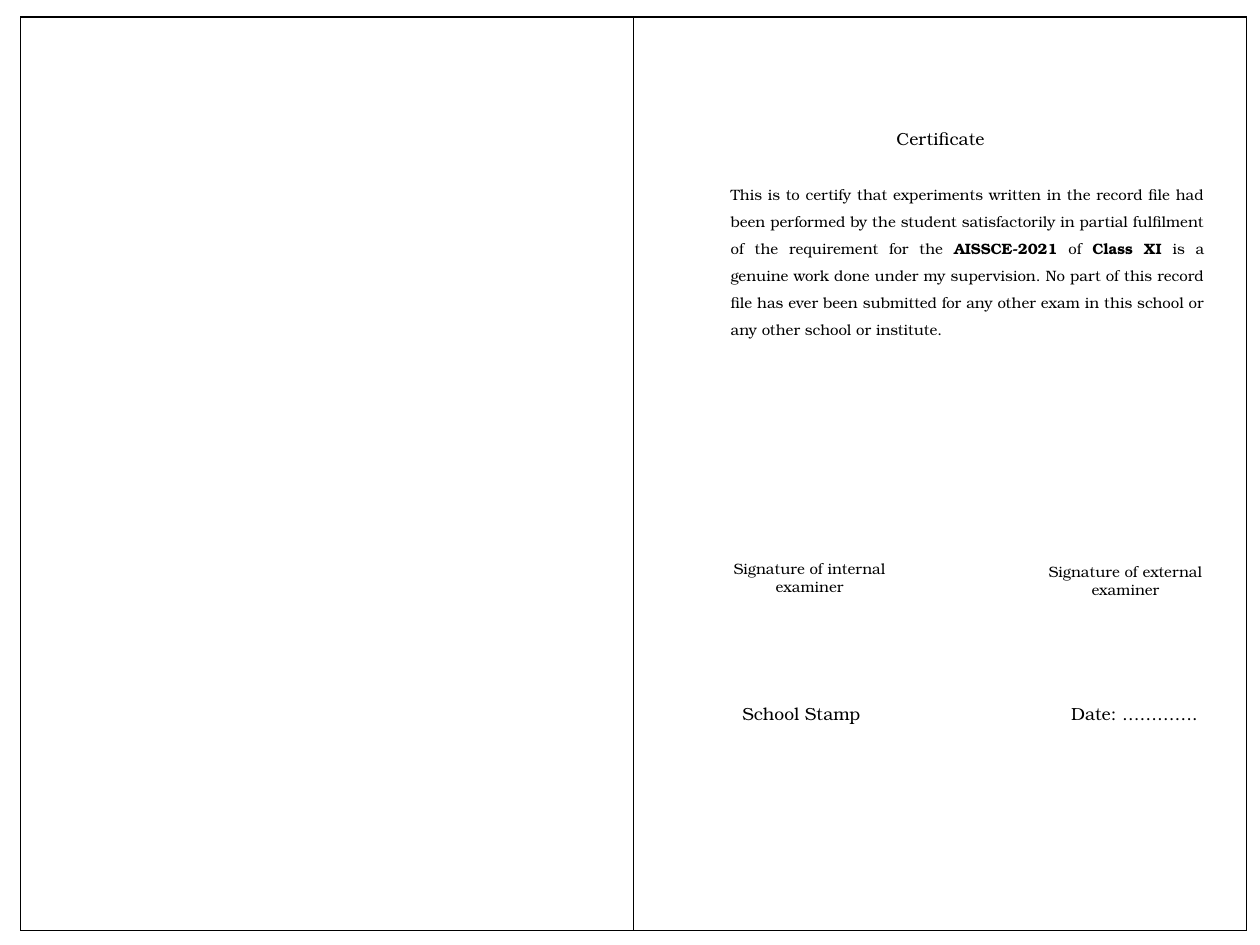
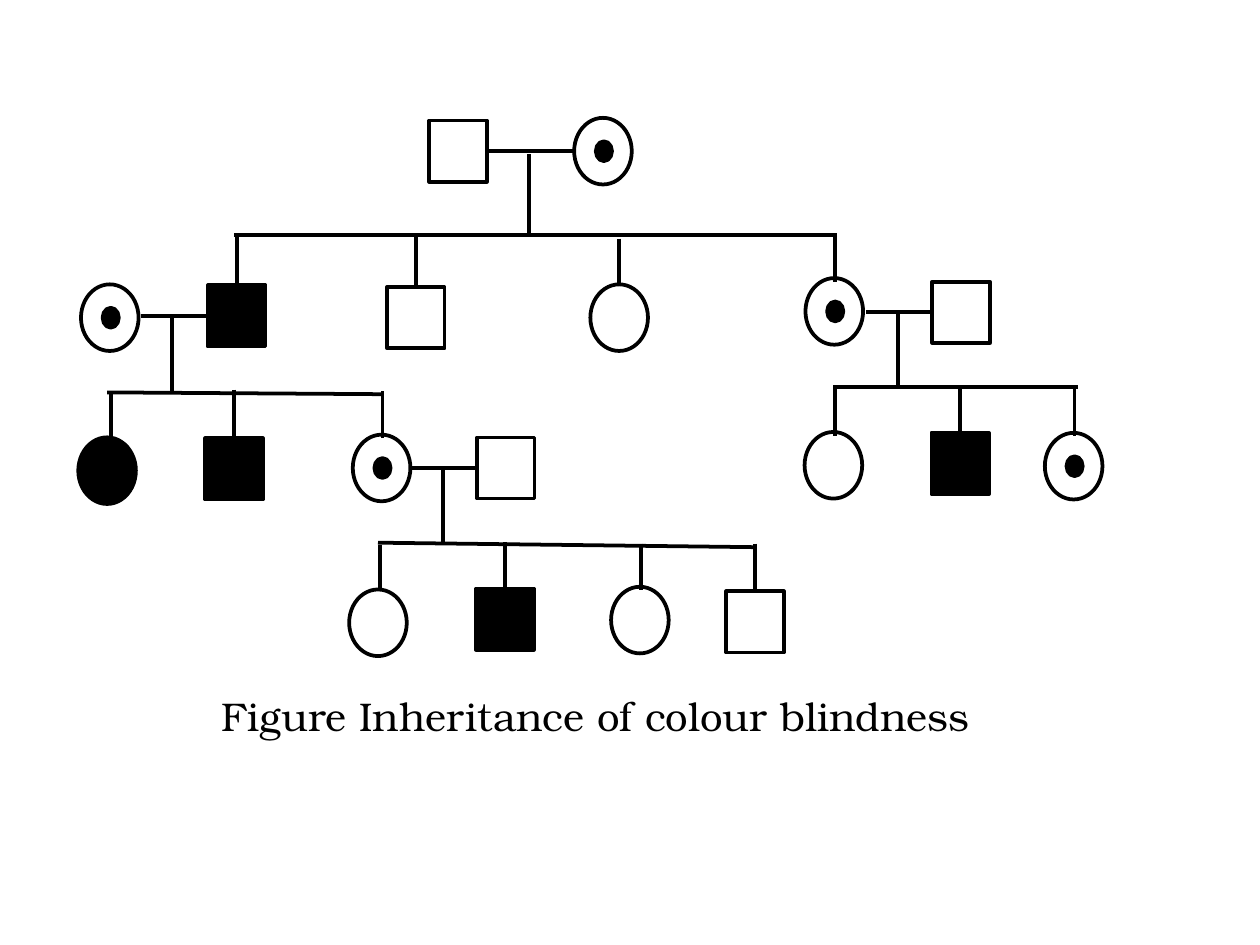
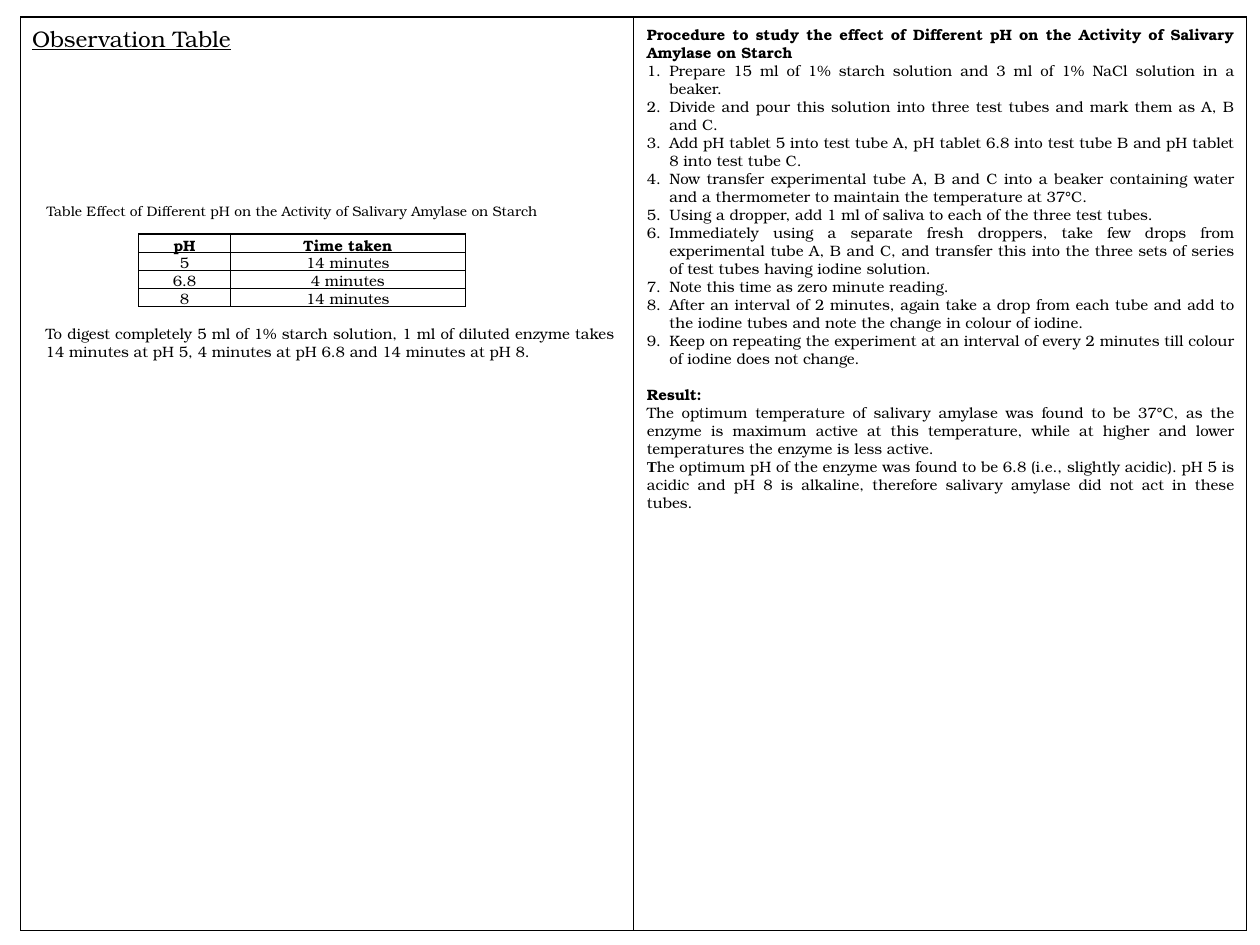
import lxml.etree
import pptx
import pptx.dml.color
import pptx.enum.shapes
import pptx.enum.text
import pptx.oxml.ns
import pptx.util

Inches = pptx.util.Inches
Pt = pptx.util.Pt
qn = pptx.oxml.ns.qn
ALIGN = pptx.enum.text.PP_ALIGN
SHAPE = pptx.enum.shapes.MSO_SHAPE
INK = pptx.dml.color.RGBColor(0x00, 0x00, 0x00)
FONT = "TeX Gyre Bonum"
ACCENT_FONT = "Times New Roman"
TOP, LEFT, RIGHT = 0, 1, 3
SYMBOL_WIDTH, MALE_HEIGHT, FEMALE_HEIGHT = 0.64, 0.68, 0.74
DOT_WIDTH, DOT_HEIGHT = 0.18, 0.22


class RecordFile:
    def __init__(self):
        self.deck = pptx.Presentation()
        self.deck.slide_width = Inches(14)
        self.deck.slide_height = Inches(10.5)
        self.slide = None

    def new_slide(self):
        self.slide = self.deck.slides.add_slide(self.deck.slide_layouts[6])

    def new_spread(self):
        self.new_slide()
        border = self.shape(SHAPE.FRAME, 0.23, 0.19, 13.62, 10.15, True, 1)
        border.adjustments[0] = 0
        self.line(7.04, 0.19, 7.04, 10.33, 0.5)

    def shape(self, kind, left, top, width, height, filled=False, weight=3):
        shape = self.slide.shapes.add_shape(
            kind, Inches(left), Inches(top), Inches(width), Inches(height))
        shape.shadow.inherit = False
        if filled:
            shape.fill.solid()
            shape.fill.fore_color.rgb = INK
        else:
            shape.fill.background()
        shape.line.color.rgb = INK
        shape.line.width = Pt(weight)
        return shape

    def line(self, x1, y1, x2, y2, weight=3):
        line = self.slide.shapes.add_connector(
            pptx.enum.shapes.MSO_CONNECTOR.STRAIGHT,
            Inches(x1), Inches(y1), Inches(x2), Inches(y2))
        line.line.color.rgb = INK
        line.line.width = Pt(weight)
        lxml.etree.SubElement(line._element.spPr, qn("a:effectLst"))
        return line

    def centred(self, kind, x, y, width, height, filled=False):
        return self.shape(kind, x - width / 2, y - height / 2, width, height, filled)

    def male(self, x, y, affected=False):
        return self.centred(SHAPE.RECTANGLE, x, y, SYMBOL_WIDTH, MALE_HEIGHT, affected)

    def female(self, x, y, affected=False, carrier=False):
        self.centred(SHAPE.OVAL, x, y, SYMBOL_WIDTH, FEMALE_HEIGHT, affected)
        if carrier:
            self.centred(SHAPE.OVAL, x + 0.01, y, DOT_WIDTH, DOT_HEIGHT, True)

    def marriage(self, husband, side, wife_x, y):
        self.line(wife_x, y, wife_x, y).end_connect(husband, side)

    def sibship(self, stem, bar, sons, daughters):
        x, top, bottom = stem
        self.line(x, top, x, bottom)
        self.line(*bar)
        for son, x, top in sons:
            self.line(x, top, x, top).end_connect(son, TOP)
        for x, top in daughters:
            self.line(x, top, x, top + 0.52)

    def set_text(self, paragraph, text, size, align):
        paragraph.alignment = align
        parts = [(part, i % 2 == 1) for i, part in enumerate(text.split("**")) if part]
        mixed = len(parts) > 1
        for part, bold in parts:
            run = paragraph.add_run()
            run.text = part
            if mixed:
                run.font.bold = bold
        font = paragraph.font
        font.name, font.size = FONT, Pt(size)
        font.color.rgb = INK
        if not mixed:
            font.bold = parts[0][1]

    def text(self, left, top, width, height, texts, size=12, align=ALIGN.LEFT,
             wrap=True, numbered=()):
        box = self.slide.shapes.add_textbox(
            Inches(left), Inches(top), Inches(width), Inches(height))
        frame = box.text_frame
        frame.word_wrap = wrap
        frame.auto_size = pptx.enum.text.MSO_AUTO_SIZE.SHAPE_TO_FIT_TEXT
        for i, text in enumerate(texts):
            paragraph = frame.add_paragraph() if i else frame.paragraphs[0]
            if i in numbered:
                properties = paragraph._p.get_or_add_pPr()
                properties.set("marL", str(Inches(0.25)))
                properties.set("indent", str(-Inches(0.25)))
                lxml.etree.SubElement(properties, qn("a:buAutoNum"), type="arabicPeriod")
            self.set_text(paragraph, text, size, align)
        return frame.paragraphs

    def border(self, cell):
        properties = cell._tc.get_or_add_tcPr()
        for i, side in enumerate(("lnL", "lnR", "lnT", "lnB")):
            edge = lxml.etree.Element(qn("a:" + side), w=str(Pt(1)))
            fill = lxml.etree.SubElement(edge, qn("a:solidFill"))
            lxml.etree.SubElement(fill, qn("a:srgbClr"), val=str(INK))
            properties.insert(i, edge)

    def table(self, left, top, widths, row_height, rows):
        table = self.slide.shapes.add_table(
            len(rows), len(widths), Inches(left), Inches(top),
            Inches(sum(widths)), Inches(row_height * len(rows))).table
        table.first_row = table.horz_banding = False
        for column, width in zip(table.columns, widths):
            column.width = Inches(width)
        for r, row in enumerate(rows):
            for c, text in enumerate(row):
                cell = table.cell(r, c)
                cell.margin_left = cell.margin_right = Inches(0.07)
                cell.margin_top = cell.margin_bottom = 0
                cell.fill.background()
                self.border(cell)
                self.set_text(cell.text_frame.paragraphs[0], text, 12, ALIGN.CENTER)


def certificate(record):
    record.new_spread()
    record.text(7.72, 1.37, 5.46, 0.34, ["Certificate"], 14, ALIGN.CENTER)
    statement = record.text(8.02, 1.91, 5.46, 1.88, [
        "This is to certify that experiments written in the record file had been "
        "performed by the student satisfactorily in partial fulfilment of the "
        "requirement for the **AISSCE-2021** of **Class XI** is a genuine work done "
        "under my supervision. No part of this record file has ever been submitted "
        "for any other exam in this school or any other school or institute."],
        align=ALIGN.JUSTIFY)
    statement[0].line_spacing = 1.5
    for left, top, examiner in ((8.02, 6.17, "internal"), (11.53, 6.2, "external")):
        record.text(left, top, 1.95, 0.5, [f"Signature of {examiner} examiner"],
                    align=ALIGN.CENTER)
    for left, label in ((8.02, "School Stamp"), (11.72, "Date: ………….")):
        record.text(left, 7.76, 1.77, 0.34, [label], 14, ALIGN.CENTER)


def pedigree(record):
    record.new_slide()
    grandfather = record.male(5.09, 1.68)
    record.female(6.7, 1.68, carrier=True)
    record.marriage(grandfather, RIGHT, 6.38, 1.68)

    record.female(1.22, 3.53, carrier=True)
    affected_son = record.male(2.63, 3.51, affected=True)
    healthy_son = record.male(4.62, 3.53)
    record.female(6.88, 3.53)
    record.female(9.27, 3.46, carrier=True)
    right_husband = record.male(10.68, 3.47)
    record.sibship((5.88, 1.71, 2.61), (9.3, 2.61, 2.6, 2.61),
                   [(affected_son, 2.63, 2.61), (healthy_son, 4.62, 2.63)],
                   [(6.88, 2.65), (9.28, 2.61)])
    record.marriage(affected_son, LEFT, 1.57, 3.51)
    record.marriage(right_husband, LEFT, 9.62, 3.47)

    record.female(1.19, 5.23, affected=True)
    left_grandson = record.male(2.6, 5.21, affected=True)
    record.female(4.24, 5.2, carrier=True)
    left_husband = record.male(5.62, 5.2)
    record.sibship((1.91, 3.53, 4.35), (1.19, 4.36, 4.25, 4.38),
                   [(left_grandson, 2.6, 4.33)], [(1.23, 4.38), (4.25, 4.35)])
    record.marriage(left_husband, LEFT, 4.56, 5.2)

    record.female(9.26, 5.17)
    right_grandson = record.male(10.67, 5.15, affected=True)
    record.female(11.93, 5.18, carrier=True)
    record.sibship((9.98, 3.47, 4.29), (9.26, 4.3, 11.98, 4.3),
                   [(right_grandson, 10.67, 4.29)], [(9.28, 4.32), (11.94, 4.32)])

    record.female(4.2, 6.92)
    affected_great_grandson = record.male(5.61, 6.88, affected=True)
    record.female(7.11, 6.89)
    healthy_great_grandson = record.male(8.39, 6.91)
    record.sibship((4.92, 5.2, 6.02), (4.2, 6.03, 8.41, 6.08),
                   [(affected_great_grandson, 5.61, 6.02),
                    (healthy_great_grandson, 8.39, 6.04)],
                   [(4.22, 6.05), (7.12, 6.04)])
    record.text(2.36, 7.63, 8.57, 0.64, ["Figure Inheritance of colour blindness"],
                32, wrap=False)


def amylase(record):
    record.new_spread()
    steps = [
        "Prepare 15 ml of 1% starch solution and 3 ml of 1% NaCl solution in a beaker.",
        "Divide and pour this solution into three test tubes and mark them as A, B and C.",
        "Add pH tablet 5 into test tube A, pH tablet 6.8 into test tube B and pH tablet 8 "
        "into test tube C.",
        "Now transfer experimental tube A, B and C into a beaker containing water and a "
        "thermometer to maintain the temperature at 37°C.",
        "Using a dropper, add 1 ml of saliva to each of the three test tubes.",
        "Immediately using a separate fresh droppers, take few drops from experimental "
        "tube A, B and C, and transfer this into the three sets of series of test tubes "
        "having iodine solution.",
        "Note this time as zero minute reading.",
        "After an interval of 2 minutes, again take a drop from each tube and add to the "
        "iodine tubes and note the change in colour of iodine.",
        "Keep on repeating the experiment at an interval of every 2 minutes till colour "
        "of iodine does not change.",
    ]
    heading = ("**Procedure to study the effect of Different pH on the Activity of "
               "Salivary Amylase on Starch**")
    results = [
        "**Result:**",
        "The optimum temperature of salivary amylase was found to be 37°C, as the enzyme "
        "is maximum active at this temperature, while at higher and lower temperatures "
        "the enzyme is less active.",
        "**T**he optimum pH of the enzyme was found to be 6.8 (i.e., slightly acidic). "
        "pH 5 is acidic and pH 8 is alkaline, therefore salivary amylase did not act in "
        "these tubes.",
    ]
    procedure = record.text(7.09, 0.24, 6.73, 5.76, [heading, *steps, *results],
                            align=ALIGN.JUSTIFY, numbered=range(1, len(steps) + 1))
    procedure[len(steps) + 1].space_before = Pt(14.4)
    procedure[-1].runs[0].font.name = ACCENT_FONT

    title = record.text(0.24, 0.23, 2.44, 0.4, ["Observation Table"], 18,
                        ALIGN.CENTER, wrap=False)
    title[0].font.underline = True
    record.text(0.42, 2.2, 6.81, 0.29, [
        "Table Effect of Different pH on the Activity of Salivary Amylase on Starch"], 11)
    record.table(1.54, 2.6, (1.02, 2.61), 0.2, [
        ("**pH**", "**Time taken**"),
        ("5", "14 minutes"),
        ("6.8", "4 minutes"),
        ("8", "14 minutes"),
    ])
    record.text(0.41, 3.56, 6.52, 0.5, [
        "To digest completely 5 ml of 1% starch solution, 1 ml of diluted enzyme takes "
        "14 minutes at pH 5, 4 minutes at pH 6.8 and 14 minutes at pH 8."],
        align=ALIGN.JUSTIFY)


def main():
    record = RecordFile()
    certificate(record)
    pedigree(record)
    amylase(record)
    record.deck.save("out.pptx")


if __name__ == "__main__":
    main()
